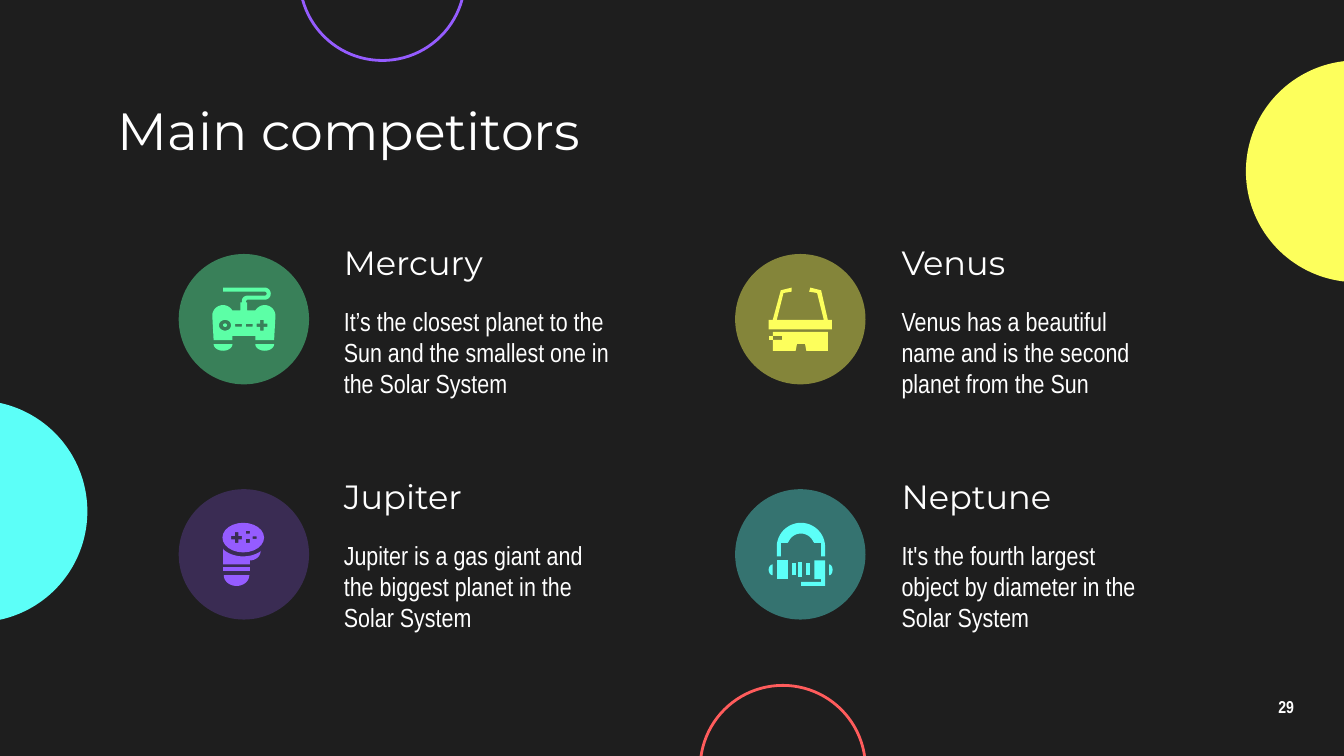
from math import cos, radians, sin

from lxml import etree
from pptx import Presentation
from pptx.dml.color import RGBColor
from pptx.enum.shapes import MSO_SHAPE as Shape
from pptx.enum.text import MSO_ANCHOR as Anchor, PP_ALIGN as Align
from pptx.oxml.ns import qn
from pptx.util import Inches, Pt

WHITE = "FFFFFF"
GREEN, YELLOW, VIOLET, CYAN, RED = "5CFFA6", "FDFF5C", "955CFF", "5CFFF8", "FF5C5C"
HEAD, BODY = "Montserrat", "Arial Narrow"


# Icon outlines are point lists in hundredths of an inch.
def rect(x, y, w, h):
    return [(x, y), (x + w, y), (x + w, y + h), (x, y + h)]


def arc(x, y, rx, ry, start=0, end=360):
    """Points on an ellipse, clockwise from the right when angles grow."""
    steps = 24
    turns = [radians(start + (end - start) * i / steps) for i in range(steps + 1)]
    return [(x + rx * cos(t), y + ry * sin(t)) for t in turns]


def plus(x, y, arm=4, half=1.3):
    return [(x - half, y - arm), (x + half, y - arm), (x + half, y - half),
            (x + arm, y - half), (x + arm, y + half), (x + half, y + half),
            (x + half, y + arm), (x - half, y + arm), (x - half, y + half),
            (x - arm, y + half), (x - arm, y - half), (x - half, y - half)]


# Each icon is a list of parts; each part is an outline followed by its holes.
def gamepad():
    body = [(8, 0), (8, 3), *arc(39, 4.5, 1.5, 1.5, -90, 90),
            *arc(26, 10, 4, 4, 270, 180), (22, 11), (21, 11), (21, 17),
            *arc(8, 21, 8, 8, -30, -180), (1, 39), (15, 39), (15, 36),
            (32, 36), (32, 39), (46, 39), *arc(39, 21, 8, 8, 0, -150),
            (26, 17), (26, 11), (25, 11), (25, 10), (26, 9),
            *arc(39, 4.5, 4.5, 4.5, 90, -90)]
    holes = [rect(17, 27, 5, 2), rect(25, 27, 5, 2), arc(9.5, 28, 4.5, 4), plus(37, 28)]
    feet = [[arc(x, 42, 7, 5, 0, 180)] for x in (8, 39)]
    return [[body, *holes], [arc(9.5, 28, 1.5, 1.3)], *feet]


def glasses():
    frame = [(17, 0), (9, 2), (3, 24), (0, 24), (0, 31), (47, 31), (47, 24),
             (44, 24), (39, 2), (31, 0), (30, 3), (36, 4), (41, 24), (6, 24),
             (11, 4), (17, 3)]
    lens = [(3, 33), (3, 36), (10, 36), (10, 39), (3, 39), (3, 47), (20, 47),
            (21, 42), (27, 42), (28, 47), (44, 47), (44, 33)]
    return [[frame], [lens], [rect(0, 36, 3, 3)]]


def wand():
    grip = [(8, 19), (8, 31), (28, 31), *arc(28, 21, 8, 7, 90, 0),
            *arc(23, 11, 19, 14, 45, 140)]
    holes = [rect(25, 6, 3, 2), rect(30, 10, 3, 2), rect(25, 12, 3, 3), plus(18, 11)]
    return [[rect(8, 33, 20, 3)], [arc(18, 39, 9.5, 8, 0, 180)], [grip],
            [arc(23, 11, 15.5, 11), *holes]]


def headset():
    band = [*arc(24, 18, 18, 18, 180, 360), (42, 25), (39, 25), (39, 15),
            (34, 15), *arc(24, 18, 10, 10, -24, -156), (14, 15), (9, 15),
            (9, 25), (6, 25)]
    mic = [(34, 28), (34, 42), (39, 42), (39, 44), (24, 44), (24, 47),
           (42, 47), (42, 28)]
    bars = [[rect(17, 30, 3, 9)], [rect(22, 29, 3, 11)], [rect(28, 30, 3, 9)]]
    ears = [[arc(3, 35, 3, 4, 90, 270)], [arc(45, 35, 2.5, 4, -90, 90)]]
    return [*bars, *ears, [rect(6, 28, 8, 14)], [band], [mic]]


def rgb(code):
    return RGBColor.from_string(code)


def paint(shape, code, alpha=100):
    shape.shadow.inherit = False
    shape.fill.solid()
    shape.fill.fore_color.rgb = rgb(code)
    shape.line.fill.background()
    if alpha < 100:
        tint = shape.fill._xPr.find(qn("a:solidFill"))[0]
        etree.SubElement(tint, qn("a:alpha")).set("val", str(alpha * 1000))


def add_disc(slide, x, y, size, code, alpha=100):
    disc = slide.shapes.add_shape(
        Shape.OVAL, Inches(x), Inches(y), Inches(size), Inches(size))
    paint(disc, code, alpha)
    return disc


def add_ring(slide, x, y, size, code):
    ring = add_disc(slide, x, y, size, code)
    ring.fill.background()
    ring.line.color.rgb = rgb(code)
    ring.line.width = Pt(1.5)


def add_icon(slide, x, y, parts, code):
    group = slide.shapes.add_group_shape()
    for part in parts:
        loops = [[(Inches(a / 100), Inches(b / 100)) for a, b in loop] for loop in part]
        pen = group.shapes.build_freeform(*loops[0][0])
        pen.add_line_segments(loops[0][1:])
        for loop in loops[1:]:
            pen.move_to(*loop[0])
            pen.add_line_segments(loop[1:])
        paint(pen.convert_to_shape(Inches(x), Inches(y)), code)


def add_text(slide, x, y, w, h, text, size, face, bold=False, align=Align.LEFT, space=1.0):
    box = slide.shapes.add_textbox(Inches(x), Inches(y), Inches(w), Inches(h))
    frame = box.text_frame
    frame.word_wrap = True
    frame.vertical_anchor = Anchor.MIDDLE
    frame.margin_left = frame.margin_right = Inches(0.1)
    frame.margin_top = frame.margin_bottom = Inches(0.1)
    para = frame.paragraphs[0]
    para.alignment = align
    para.line_spacing = space
    run = para.add_run()
    run.text = text
    run.font.size = Pt(size)
    run.font.name = face
    run.font.bold = bold
    run.font.color.rgb = rgb(WHITE)


def add_card(slide, col, row, name, note, icon, code, alpha):
    x, y = 1.33 + 4.14 * col, 1.89 + 1.75 * row
    left, top = 2.46 + 4.15 * col, 1.7 + 1.74 * row
    width = (2.19, 2.06)[col]
    add_disc(slide, x, y, 0.97, code, alpha)
    add_icon(slide, x + 0.25, y + 0.25, icon(), code)
    add_text(slide, left, top, width, 0.5, name, 18, HEAD)
    add_text(slide, left, top + 0.5, width, 0.84, note, 14, BODY)


def main():
    deck = Presentation()
    deck.slide_width = Inches(10)
    deck.slide_height = deck.slide_width * 9 // 16
    slide = deck.slides.add_slide(deck.slide_layouts[6])
    slide.background.fill.solid()
    slide.background.fill.fore_color.rgb = rgb("1E1E1E")

    add_disc(slide, -1, 2.98, 1.65, CYAN)
    add_disc(slide, 9.27, 0.45, 1.65, YELLOW)
    add_ring(slide, 2.23, -0.78, 1.23, VIOLET)
    add_ring(slide, 5.21, 5.1, 1.23, RED)
    add_text(slide, 9.27, 5.1, 0.6, 0.34, "29", 9.2, BODY, True, Align.CENTER, 0.9)
    add_text(slide, 0.78, 0.71, 8.44, 0.51, "Main competitors", 28, HEAD)

    cards = [
        ("Mercury", "It’s the closest planet to the Sun and the smallest one in the Solar System",
         gamepad, GREEN, 44),
        ("Venus", "Venus has a beautiful name and is the second planet from the Sun",
         glasses, YELLOW, 46),
        ("Jupiter", "Jupiter is a gas giant and the biggest planet in the Solar System",
         wand, VIOLET, 24),
        ("Neptune", "It's the fourth largest object by diameter in the Solar System",
         headset, CYAN, 38),
    ]
    for i, card in enumerate(cards):
        add_card(slide, i % 2, i // 2, *card)
    deck.save("out.pptx")


if __name__ == "__main__":
    main()
